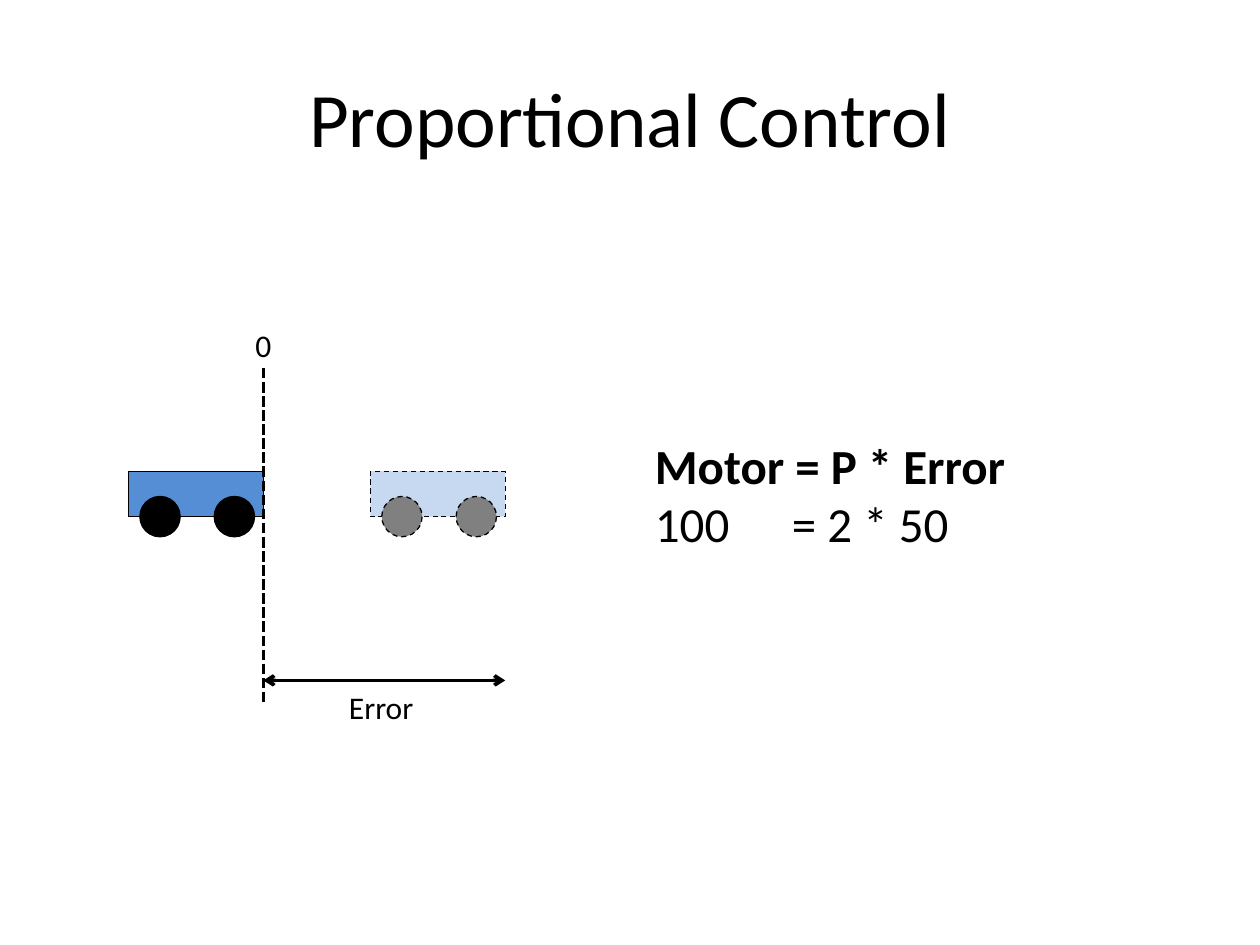
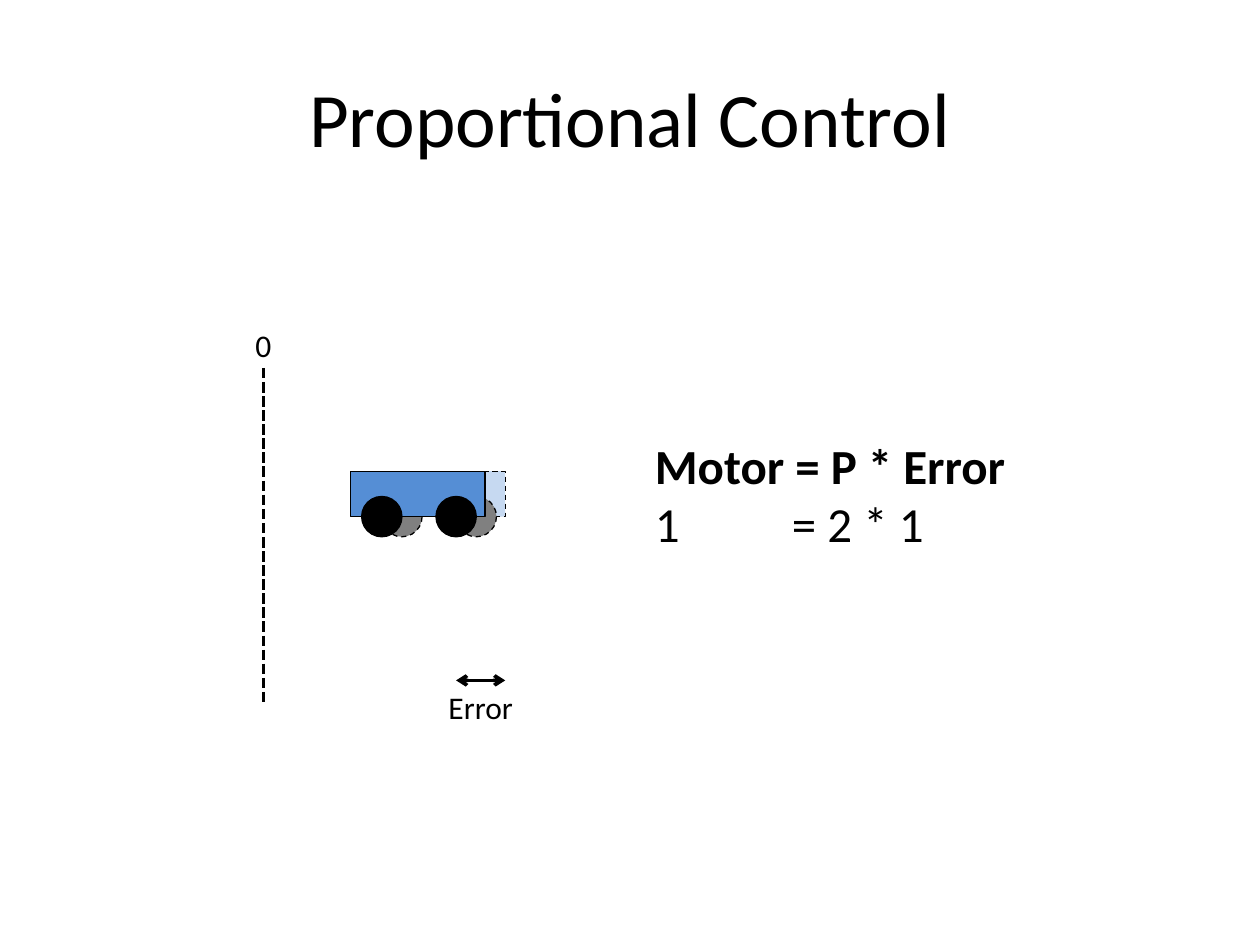
from lxml.etree import SubElement
from pptx import Presentation
from pptx.dml.color import RGBColor
from pptx.enum.dml import MSO_LINE as Dash
from pptx.enum.shapes import MSO_CONNECTOR as Connector, MSO_SHAPE as Shape
from pptx.enum.text import MSO_ANCHOR as Anchor, PP_ALIGN as Align
from pptx.oxml.ns import qn
from pptx.util import Inches, Pt

FONT = "Calibri"
BLACK, BLUE, PALE_BLUE, GREY = "000000", "558ED5", "C6D9F1", "808080"
CELL = Inches(0.1)
COLUMNS, ROWS = 100, 75
ZERO, TARGET = 20.9, 40.1
CAR_LENGTH, CAR_HEIGHT, CAR_TOP = 10.7, 3.6, 37.4
WHEEL, WHEEL_OFFSETS = 3.2, (0.9, 6.8)
ARROW_ROW = 54
LABEL_HEIGHT = 4


def grid(*cells):
    """Turn counts of grid cells into slide lengths."""
    return [int(CELL * count) for count in cells]


def color(hex_string):
    """Return the colour for a hex string."""
    return RGBColor.from_string(hex_string)


def style_line(line, width, dash=None):
    """Give a line its colour, width and dash."""
    line.color.rgb = color(BLACK)
    line.width = Pt(width)
    if dash is not None:
        line.dash_style = dash


def format_paragraph(paragraph, size, bold=False, alignment=Align.LEFT):
    """Set the alignment of a paragraph and the font of its runs."""
    paragraph.alignment = alignment
    for run in paragraph.runs:
        run.font.name = FONT
        run.font.size = Pt(size)
        run.font.bold = bold
        run.font.color.rgb = color(BLACK)


def add_title(slide, text):
    """Fill and place the title placeholder."""
    title = slide.shapes.title
    title.left, title.top, title.width, title.height = grid(5, 3, 90, 12.5)
    title.text_frame.text = text
    title.text_frame.vertical_anchor = Anchor.MIDDLE
    format_paragraph(title.text_frame.paragraphs[0], 44, alignment=Align.CENTER)


def add_part(shapes, kind, box, fill, dash):
    """Add one outlined part of a car."""
    part = shapes.add_shape(kind, *grid(*box))
    part.shadow.inherit = False
    part.fill.solid()
    part.fill.fore_color.rgb = color(fill)
    style_line(part.line, 0.75, dash)


def add_car(shapes, front, body_color, wheel_color, dash=None):
    """Draw a car whose front edge is at the given column."""
    left = front - CAR_LENGTH
    add_part(shapes, Shape.RECTANGLE, (left, CAR_TOP, CAR_LENGTH, CAR_HEIGHT), body_color, dash)
    for offset in WHEEL_OFFSETS:
        add_part(shapes, Shape.OVAL, (left + offset, CAR_TOP + 2, WHEEL, WHEEL), wheel_color, dash)


def add_line(slide, start, end, dash=None, arrows=False):
    """Draw a straight line, with arrowheads at both ends if wanted."""
    connector = slide.shapes.add_connector(Connector.STRAIGHT, *grid(*start, *end))
    style_line(connector.line, 2, dash)
    if arrows:
        line = connector.line._get_or_add_ln()
        for end_tag in ("a:headEnd", "a:tailEnd"):
            SubElement(line, qn(end_tag), type="arrow")
    SubElement(connector._element.spPr, qn("a:effectLst"))


def add_label(slide, text, center, top, width):
    """Add a short label centred on a column."""
    box = slide.shapes.add_textbox(*grid(center - width / 2, top, width, LABEL_HEIGHT))
    box.text_frame.word_wrap = True
    box.text_frame.text = text
    format_paragraph(box.text_frame.paragraphs[0], 18, alignment=Align.CENTER)


def add_tab_stops(paragraph, *cells):
    """Add left tab stops at the given columns of the text."""
    tabs = SubElement(paragraph._p.get_or_add_pPr(), qn("a:tabLst"))
    for position in grid(*cells):
        SubElement(tabs, qn("a:tab"), pos=str(position), algn="l")


def add_formula(slide, values):
    """Add the control formula with its values below."""
    box = slide.shapes.add_textbox(*grid(51, 17, 47.4, 44.4))
    frame = box.text_frame
    frame.word_wrap = True
    frame.vertical_anchor = Anchor.MIDDLE
    frame.text = "Motor = P * Error"
    format_paragraph(frame.paragraphs[0], 28, bold=True)
    example = frame.add_paragraph()
    example.text = values
    add_tab_stops(example, 5, 10)
    format_paragraph(example, 28)


def add_control_slide(presentation, car_front, error_start, label_center, values):
    """Build a slide with the car, its target, the error and the formula."""
    slide = presentation.slides.add_slide(presentation.slide_layouts[5])
    add_title(slide, "Proportional Control")
    add_car(slide.shapes.add_group_shape().shapes, TARGET, PALE_BLUE, GREY, Dash.DASH)
    add_car(slide.shapes, car_front, BLUE, BLACK)
    add_line(slide, (TARGET, ARROW_ROW), (error_start, ARROW_ROW), arrows=True)
    add_label(slide, "Error", label_center, 54.1, 13.5)
    add_line(slide, (ZERO, 29.2), (ZERO, 55.8), Dash.SQUARE_DOT)
    add_label(slide, "0", ZERO, 25.4, 8.5)
    add_formula(slide, values)


def main():
    """Build and save the presentation."""
    presentation = Presentation()
    presentation.slide_width, presentation.slide_height = grid(COLUMNS, ROWS)
    add_control_slide(presentation, ZERO, ZERO, 30.25, "100\t = 2 * 50")
    add_control_slide(presentation, 38.5, 36.2, 38.15, "1\t\t = 2 * 1")
    presentation.save("out.pptx")


if __name__ == "__main__":
    main()
